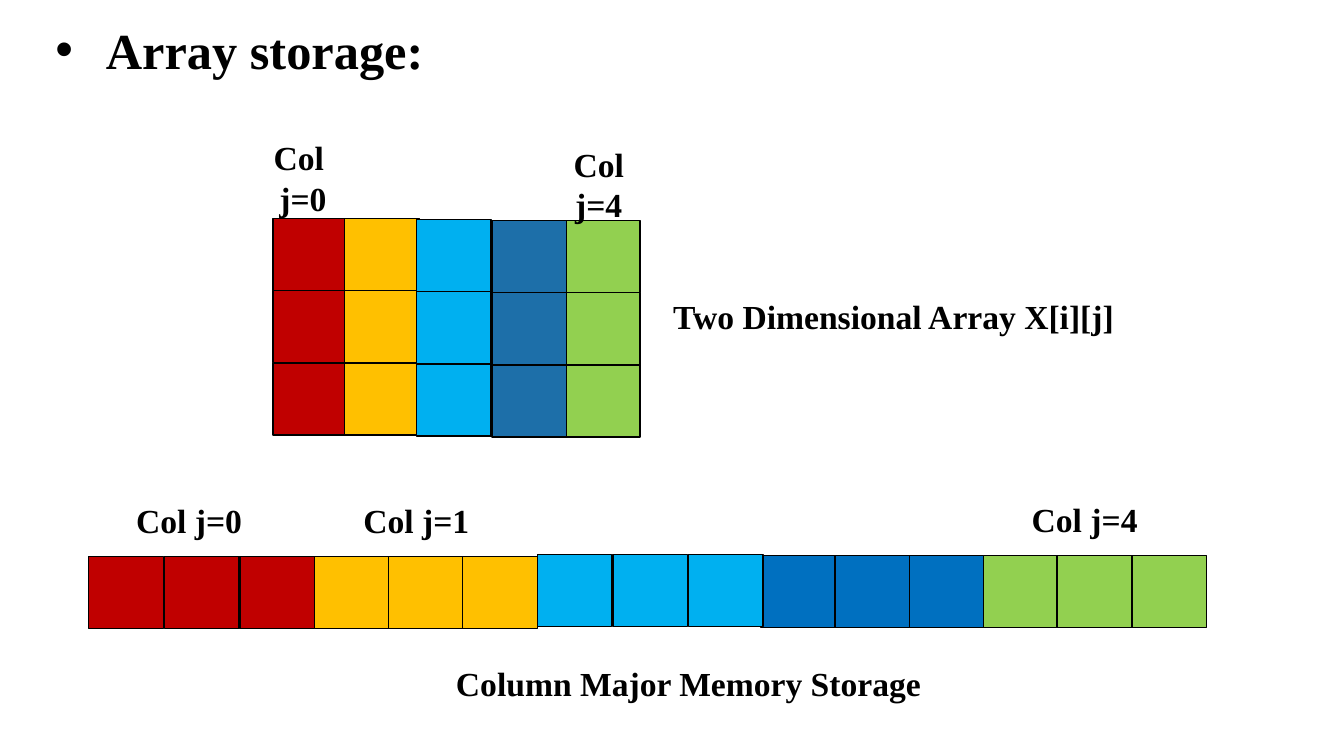
"""Build a slide showing how a two-dimensional array is stored column by column."""
from dataclasses import dataclass

from lxml import etree
from pptx import Presentation
from pptx.dml.color import RGBColor
from pptx.enum.shapes import MSO_SHAPE
from pptx.enum.text import MSO_ANCHOR, PP_ALIGN
from pptx.oxml.ns import qn
from pptx.util import Emu, Inches, Pt

RECTANGLE = MSO_SHAPE.RECTANGLE
TOP, MIDDLE = MSO_ANCHOR.TOP, MSO_ANCHOR.MIDDLE
LEFT, CENTER = PP_ALIGN.LEFT, PP_ALIGN.CENTER

COLUMNS, ROWS = 133.33, 75
UNIT = Inches(0.1)
CELL_WIDTH, CELL_HEIGHT = 7.4, 7.15
ARRAY_ROWS = 3


@dataclass(frozen=True)
class Theme:
    """Colours, typeface and sizes of the slide."""
    font: str = "Times New Roman"
    title_size: int = 36
    label_size: int = 24
    line_width: float = 1
    ink: str = "000000"
    red: str = "C00000"
    amber: str = "FFC000"
    sky: str = "00B0F0"
    steel: str = "1D6FA9"
    blue: str = "0070C0"
    green: str = "92D050"


@dataclass(frozen=True)
class Area:
    """A rectangle measured in grid columns and rows."""
    left: float
    top: float
    width: float
    height: float

    def lengths(self) -> tuple[Emu, ...]:
        """Return the rectangle in slide units."""
        sides = (self.left, self.top, self.width, self.height)
        return tuple(Emu(round(side * UNIT)) for side in sides)


@dataclass(frozen=True)
class Strip:
    """Equal cells of one array column, stepping across or down."""
    color: str
    left: float
    top: float
    across: float = 0
    down: float = 0


@dataclass(frozen=True)
class Label:
    """A centred caption."""
    text: str
    area: Area


THEME = Theme()

ARRAY_STRIPS = [
    Strip(THEME.green, 56.1, 21.9, down=CELL_HEIGHT),
    Strip(THEME.red, 27.1, 21.7, down=CELL_HEIGHT),
    Strip(THEME.amber, 34.2, 21.7, down=CELL_HEIGHT),
    Strip(THEME.sky, 41.3, 21.8, down=CELL_HEIGHT),
    Strip(THEME.steel, 48.8, 21.9, down=CELL_HEIGHT),
]
MEMORY_STRIPS = [
    Strip(THEME.green, 97.4, 55.1, across=7.45),
    Strip(THEME.blue, 75.5, 55.1, across=7.35),
    Strip(THEME.red, 8.8, 55.2, across=7.5),
    Strip(THEME.amber, 31.2, 55.2, across=7.35),
    Strip(THEME.sky, 53.3, 55, across=7.5),
]
LABELS = [
    Label("Two Dimensional Array X[i][j]", Area(65.1, 29.6, 47.1, 3.6)),
    Label("Col \nj=0", Area(23.8, 15, 12.5, 5.2)),
    Label("Col\nj=4", Area(52.2, 15.7, 14.4, 5.1)),
    Label("Col j=0", Area(8.8, 49.1, 19.9, 4.9)),
    Label("Col j=1", Area(27.6, 49.2, 27.4, 4.8)),
    Label("Col j=4", Area(93.9, 49.1, 27.4, 4.8)),
    Label("Column Major Memory Storage", Area(42.5, 64.4, 51.6, 6.7)),
]


def format_text(box, size: int, align, anchor) -> None:
    """Apply the theme's type to all text of a box."""
    frame = box.text_frame
    frame.word_wrap = True
    frame.vertical_anchor = anchor
    for para in frame.paragraphs:
        para.alignment = align
        for span in para.runs:
            span.font.name = THEME.font
            span.font.size = Pt(size)
            span.font.bold = True
            span.font.color.rgb = RGBColor.from_string(THEME.ink)


def add_heading(page, text: str, area: Area) -> None:
    """Place the bulleted heading in the title placeholder."""
    title = page.shapes.title
    title.left, title.top, title.width, title.height = area.lengths()
    title.text_frame.text = text
    properties = title.text_frame.paragraphs[0]._p.get_or_add_pPr()
    properties.set("marL", str(Inches(0.5)))
    properties.set("indent", str(-Inches(0.5)))
    etree.SubElement(properties, qn("a:buFont"), typeface="Arial")
    etree.SubElement(properties, qn("a:buChar"), char="•")
    format_text(title, THEME.title_size, LEFT, TOP)


def add_strips(page, strips: list[Strip]) -> None:
    """Draw the cells of several strips as one group."""
    group = page.shapes.add_group_shape()
    for strip in strips:
        for index in range(ARRAY_ROWS):
            area = Area(strip.left + index * strip.across,
                        strip.top + index * strip.down,
                        CELL_WIDTH, CELL_HEIGHT)
            cell = group.shapes.add_shape(RECTANGLE, *area.lengths())
            cell.shadow.inherit = False
            cell.fill.solid()
            cell.fill.fore_color.rgb = RGBColor.from_string(strip.color)
            cell.line.color.rgb = RGBColor.from_string(THEME.ink)
            cell.line.width = Pt(THEME.line_width)


def add_label(page, label: Label) -> None:
    """Add one caption."""
    box = page.shapes.add_textbox(*label.area.lengths())
    box.text_frame.text = label.text
    format_text(box, THEME.label_size, CENTER, MIDDLE)


def main() -> None:
    """Build and save the deck."""
    deck = Presentation()
    deck.slide_width = Emu(round(COLUMNS * UNIT))
    deck.slide_height = Emu(ROWS * UNIT)
    page = deck.slides.add_slide(deck.slide_layouts.get_by_name("Title Only"))
    add_heading(page, "Array storage:", Area(4.5, 1.4, 124.2, 7.1))
    add_strips(page, ARRAY_STRIPS)
    for label in LABELS:
        add_label(page, label)
    add_strips(page, MEMORY_STRIPS)
    deck.save("out.pptx")


if __name__ == "__main__":
    main()
